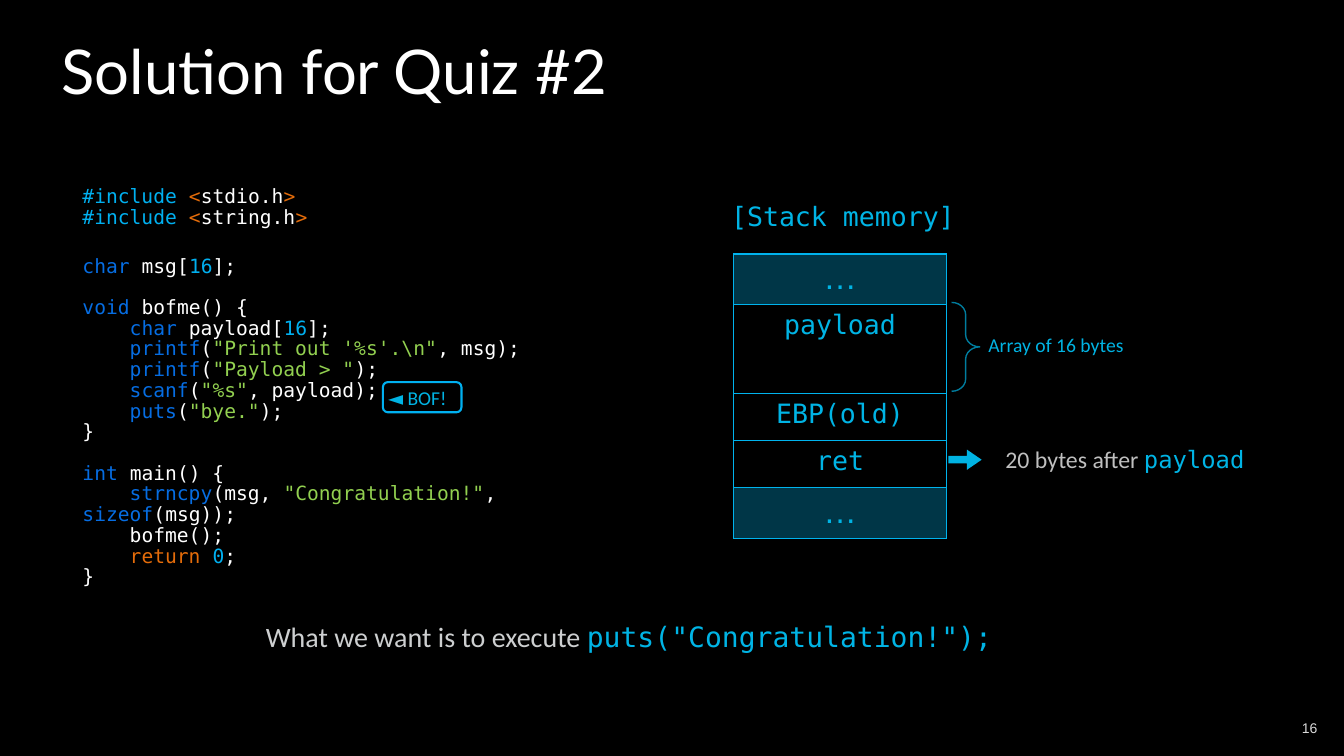
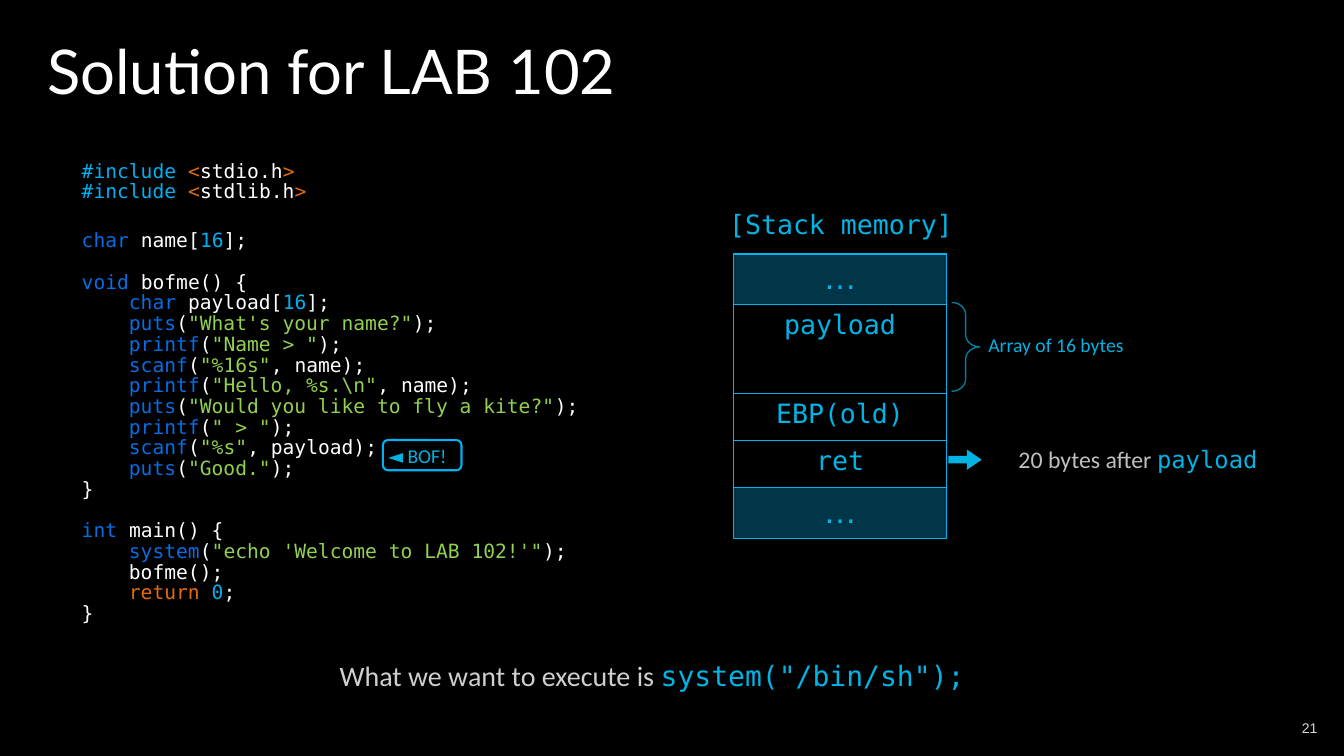
import collections
import itertools

import lxml.etree
import pptx
import pptx.dml.color
import pptx.enum.shapes
import pptx.enum.text
import pptx.oxml.ns
import pptx.util

Cm, Pt = pptx.util.Cm, pptx.util.Pt
ALIGN = pptx.enum.text.PP_ALIGN
ANCHOR = pptx.enum.text.MSO_ANCHOR
SHAPE = pptx.enum.shapes.MSO_SHAPE
Box = collections.namedtuple("Box", "left top width height")  # centimetres

# Shared look
BLACK, WHITE = "000000", "FFFFFF"
CYAN, SKY, GRID = "00B4E5", "00B3E3", "00B3ED"
PALE, GRAY, NUMBER_GRAY = "CDCFD0", "BFBFBF", "D9D9D9"
BODY, MONO, TITLE_FONT, SMALL_FONT = "Calibri", "DejaVu Sans Mono", "Lato", "Arial"
SYMBOL_FONT = "Noto Sans CJK KR"

# Syntax colours
LITERAL, STRING, ACCENT, KEYWORD = "00B0F0", "92D050", "E46C0A", "066DE2"
WORD_COLORS = {"#": LITERAL, "include": LITERAL, "16": LITERAL, "0": LITERAL,
               "<": ACCENT, ">": ACCENT, "return": ACCENT}
WORD_COLORS.update(dict.fromkeys(
    "char void int printf puts scanf strncpy sizeof system".split(), KEYWORD))
CODE_INDENT = 1.19
CODE_LINE = 14.8
BLOCK_GAPS = (0, 20, CODE_LINE, CODE_LINE)  # points above each block of code


def color(value):
    return pptx.dml.color.RGBColor.from_string(value)


def add_xml(parent, tag, **attributes):
    return lxml.etree.SubElement(parent, pptx.oxml.ns.qn(tag), attributes)


def set_alpha(element, percent):
    for rgb in element.iter(pptx.oxml.ns.qn("a:srgbClr")):
        add_xml(rgb, "a:alpha", val=str(percent * 1000))


def place(box):
    return [Cm(length) for length in box]


def within(box, left, top, width, height):
    return Box(box.left + left, box.top + top, width, height)


def add_span(para, text, font=BODY, size=14, ink=WHITE):
    span = para.add_run()
    span.text = text
    span.font.size = Pt(size)
    span.font.color.rgb = color(ink)
    span.font.name = font
    add_xml(span.font._element, "a:ea", typeface=font)


def format_para(para, align=ALIGN.LEFT, before=0, line=None):
    para.alignment = align
    para.space_before = Pt(before)
    if line:
        para.line_spacing = Pt(line)


def add_frame(page, box, wrap=True, anchor=ANCHOR.TOP, inset=(0.25, 0.13)):
    frame = page.shapes.add_textbox(*place(box)).text_frame
    frame.word_wrap = wrap
    frame.vertical_anchor = anchor
    frame.margin_left = frame.margin_right = Cm(inset[0])
    frame.margin_top = frame.margin_bottom = Cm(inset[1])
    return frame


def add_text(page, box, *spans, wrap=True, anchor=ANCHOR.TOP, **layout):
    """Add one line of text; each span is (text, font, size, ink)."""
    para = add_frame(page, box, wrap, anchor).paragraphs[0]
    format_para(para, **layout)
    for span in spans:
        add_span(para, *span)


def add_shape(page, kind, box, adjustments, fill=None, line=None, width=1):
    shape = page.shapes.add_shape(kind, *place(box))
    shape.shadow.inherit = False
    for index, value in enumerate(adjustments):
        shape.adjustments[index] = value
    if fill:
        shape.fill.solid()
        shape.fill.fore_color.rgb = color(fill)
    else:
        shape.fill.background()
    if line:
        shape.line.color.rgb = color(line)
        shape.line.width = Pt(width)
    else:
        shape.line.fill.background()
    return shape


# Source code
def color_tokens(line):
    """Yield (ink, text) for each token of a line of C."""
    for index, part in enumerate(line.split('"')):
        if index % 2:
            yield STRING, f'"{part}"'
            continue
        for _, letters in itertools.groupby(part, str.isalnum):
            token = "".join(letters)
            yield WORD_COLORS.get(token.strip(), WHITE), token


def add_code(page, box, code):
    frame = add_frame(page, box, inset=(0.51, 0.41))
    para = frame.paragraphs[0]
    for block, block_gap in zip(code.strip().split("\n\n"), BLOCK_GAPS):
        for row, line in enumerate(block.split("\n")):
            if para is None:
                para = frame.add_paragraph()
            format_para(para, before=0 if row else block_gap, line=CODE_LINE)
            if line.startswith(" "):
                para._p.get_or_add_pPr().set("indent", str(Cm(CODE_INDENT)))
            tokens = color_tokens(line.strip())
            for ink, group in itertools.groupby(tokens, lambda token: token[0]):
                add_span(para, "".join(text for _, text in group), MONO, 14, ink)
            para = None


def add_overflow_tag(page, box):
    add_text(page, within(box, -0.12, 0.06, 2.44, 0.74),
             ("◄ ", SYMBOL_FONT, 14, SKY), ("BOF!", BODY, 14, SKY),
             before=0.5, line=14)
    add_shape(page, SHAPE.ROUNDED_RECTANGLE, box, [0.167], line=LITERAL, width=1.5)


# Stack diagram
def style_cell(cell, text, shaded):
    properties = cell._tc.get_or_add_tcPr()
    for side in "LRTB":
        border = add_xml(properties, f"a:ln{side}", w=str(Pt(0.96)))
        add_xml(add_xml(border, "a:solidFill"), "a:srgbClr", val=GRID)
    if shaded:
        cell.fill.solid()
        cell.fill.fore_color.rgb = color(GRID)
        set_alpha(properties.find(pptx.oxml.ns.qn("a:solidFill")), 30)
    else:
        cell.fill.background()
    para = cell.text_frame.paragraphs[0]
    para.alignment = ALIGN.CENTER
    font, size = (SMALL_FONT, 24) if shaded else (MONO, 19)
    add_span(para, text, font, size, CYAN)


def add_stack(page, box, heading_at, note_left):
    add_text(page, within(box, *heading_at, 6.93, 1.07),
             ("[Stack memory]", MONO, 19, CYAN), align=ALIGN.CENTER)

    cells = ["…", "payload", "EBP(old)", "ret", "…"]
    table = page.shapes.add_table(len(cells), 1, *place(box)).table
    table.first_row = table.horz_banding = False
    for index, text in enumerate(cells):
        table.rows[index].height = Cm(2.24 if text == "payload" else 1.19)
        style_cell(table.cell(index, 0), text, shaded=text == "…")

    # Size of the payload
    brace = add_shape(page, SHAPE.LEFT_BRACE, within(box, 5.49, 1.22, 0.71, 2.24),
                      [0.433, 0.5], line=SKY)
    brace.rotation = 180
    set_alpha(brace.line._ln, 70)
    add_text(page, within(box, 6.17, 1.96, 4.24, 1.24),
             ("Array of 16 bytes", BODY, 14, SKY), before=0.5, line=14)

    # Distance to the return address
    add_shape(page, SHAPE.RIGHT_ARROW, within(box, 5.41, 4.93, 0.84, 0.51),
              [0.375, 0.728], fill=SKY)
    add_text(page, within(box, note_left, 4.67, 7.42, 0.97),
             ("20 bytes after ", BODY, 17, GRAY), ("payload", MONO, 17, CYAN),
             wrap=False, align=ALIGN.CENTER)


# Whole slide
def add_solution(deck, number, title, title_left, code, code_box, tag_top,
                 heading_at, note_left, goal, command, goal_at):
    page = deck.slides.add_slide(deck.slide_layouts[6])
    add_text(page, Box(25.83, 17.83, 7.62, 1.02),
             (number, SMALL_FONT, 10, NUMBER_GRAY),
             anchor=ANCHOR.MIDDLE, align=ALIGN.RIGHT)
    add_text(page, Box(title_left, 0.69, 16.4, 2.11),
             (title, TITLE_FONT, 44, WHITE), wrap=False)
    add_stack(page, Box(18.49, 6.4, 5.36, 7), heading_at, note_left)
    add_code(page, code_box, code)
    add_overflow_tag(page, Box(9.65, tag_top, 1.98, 0.76))
    add_text(page, Box(*goal_at, 22.63, 1.09),
             (goal, BODY, 20, PALE), (command, MONO, 20, CYAN), before=1.5)


QUIZ_CODE = r"""
#include <stdio.h>
#include <string.h>

char msg[16];

void bofme() {
    char payload[16];
    printf("Print out '%s'.\n", msg);
    printf("Payload > ");
    scanf("%s", payload);
    puts("bye.");
}

int main() {
    strncpy(msg, "Congratulation!", sizeof(msg));
    bofme();
    return 0;
}
"""

LAB_CODE = r"""
#include <stdio.h>
#include <stdlib.h>

char name[16];

void bofme() {
    char payload[16];
    puts("What's your name?");
    printf("Name > ");
    scanf("%16s", name);
    printf("Hello, %s.\n", name);
    puts("Would you like to fly a kite?");
    printf(" > ");
    scanf("%s", payload);
    puts("Good.");
}

int main() {
    system("echo 'Welcome to LAB 102!'");
    bofme();
    return 0;
}
"""

deck = pptx.Presentation()
deck.slide_width, deck.slide_height = Cm(33.87), Cm(19.05)
backdrop = deck.slide_master.background.fill
backdrop.solid()
backdrop.fore_color.rgb = color(BLACK)

add_solution(deck, "16", "Solution for Quiz #2", 1.3,
             QUIZ_CODE, Box(1.57, 4.3, 14.63, 11.02), tag_top=9.63,
             heading_at=(-0.71, -1.5), note_left=6.15,
             goal="What we want is to execute ",
             command='puts("Congratulation!");', goal_at=(6.45, 15.47))
add_solution(deck, "21", "Solution for LAB 102", 0.94,
             LAB_CODE, Box(1.55, 3.66, 14.63, 13.46), tag_top=11.09,
             heading_at=(-0.76, -1.29), note_left=6.48,
             goal="What we want to execute is ",
             command='system("/bin/sh");', goal_at=(8.31, 16.46))

deck.save("out.pptx")
